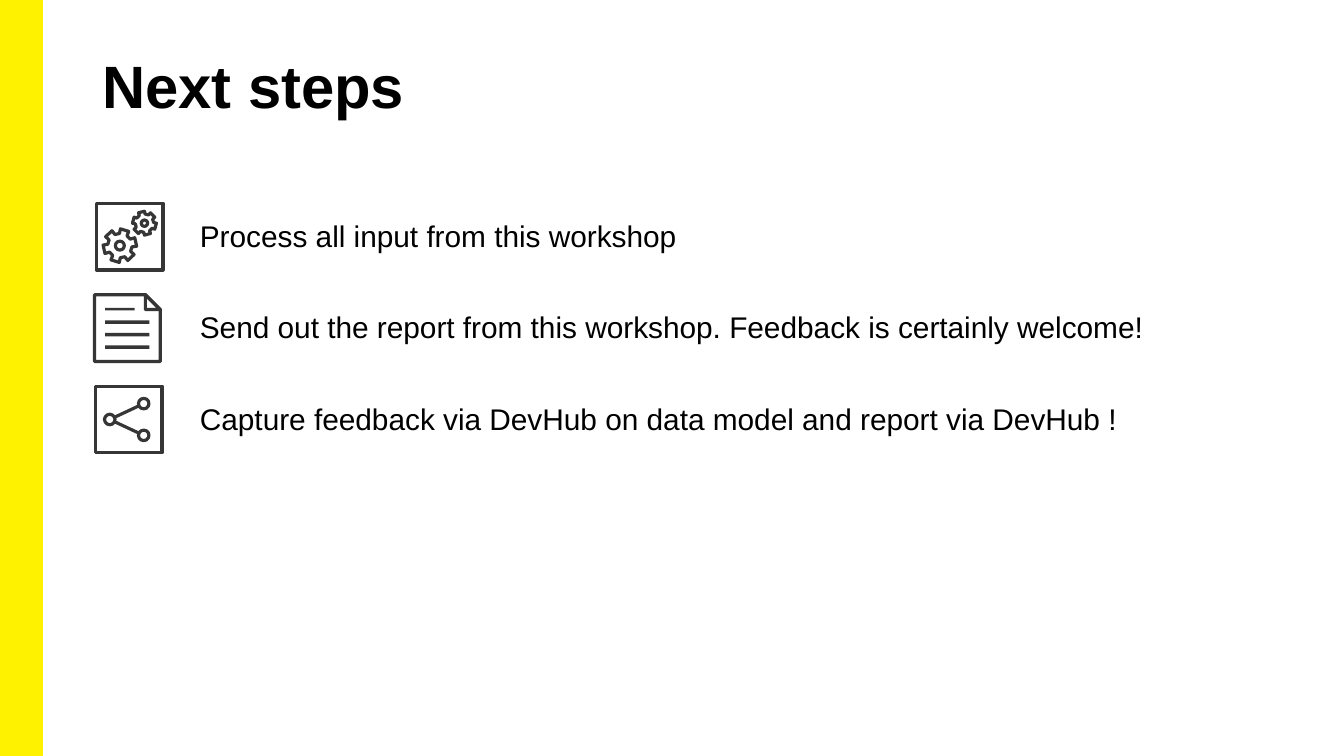
import math
import pptx
import pptx.util
import pptx.dml.color
import pptx.enum.shapes
import pptx.enum.text
import pptx.oxml.ns
import lxml.etree

Pt = pptx.util.Pt
RGBColor = pptx.dml.color.RGBColor
SHAPES = pptx.enum.shapes.MSO_SHAPE

YELLOW = RGBColor(0xFF, 0xF2, 0x00)
INK = RGBColor(0x37, 0x36, 0x36)
BLACK = RGBColor(0, 0, 0)
WHITE = RGBColor(0xFF, 0xFF, 0xFF)

TITLE = {"name": "Arial", "size": Pt(32), "bold": True}
BODY = {"name": "Arial", "size": Pt(16), "bold": False}
STROKE = 1.7


def style(shape, fill=None, line=None, weight=STROKE):
    shape.shadow.inherit = False
    if fill is None:
        shape.fill.background()
    else:
        shape.fill.solid()
        shape.fill.fore_color.rgb = fill
    if line is None:
        shape.line.fill.background()
    else:
        shape.line.color.rgb = line
        shape.line.width = Pt(weight)
    return shape


def add_block(page, kind, left, top, width, height, **look):
    shape = page.shapes.add_shape(kind, Pt(left), Pt(top), Pt(width), Pt(height))
    return style(shape, **look)


def add_outline(page, left, top, points):
    corners = [(Pt(left + x), Pt(top + y)) for x, y in points]
    builder = page.shapes.build_freeform(*corners[0], scale=1)
    builder.add_line_segments(corners[1:], close=True)
    return style(builder.convert_to_shape(), line=INK)


def add_ring(page, x, y, radius):
    add_block(page, SHAPES.OVAL, x - radius, y - radius, 2 * radius, 2 * radius,
              fill=WHITE, line=INK)


def add_line(page, x1, y1, x2, y2):
    line = page.shapes.add_connector(
        pptx.enum.shapes.MSO_CONNECTOR.STRAIGHT, Pt(x1), Pt(y1), Pt(x2), Pt(y2))
    line.line.color.rgb = INK
    line.line.width = Pt(STROKE)
    lxml.etree.SubElement(line._element.spPr, pptx.oxml.ns.qn("a:effectLst"))


def add_text(page, left, top, width, height, text, format_values, margins):
    box = page.shapes.add_textbox(Pt(left), Pt(top), Pt(width), Pt(height))
    frame = box.text_frame
    frame.word_wrap = True
    frame.vertical_anchor = pptx.enum.text.MSO_ANCHOR.TOP
    for side, margin in zip(("left", "top", "right", "bottom"), margins):
        setattr(frame, f"margin_{side}", Pt(margin))
    span = frame.paragraphs[0].add_run()
    span.text = text
    for name, value in format_values.items():
        setattr(span.font, name, value)
    span.font.color.rgb = BLACK


def add_frame(page, left, top, size):
    inset = STROKE / 2
    add_block(page, SHAPES.RECTANGLE, left + inset, top + inset,
              size - STROKE, size - STROKE, line=INK)


def add_gear(page, x, y, tip, root, hub, turn):
    points = []
    for tooth in range(6):
        for radius, offset in ((root, -19), (tip, -15), (tip, 15), (root, 19)):
            angle = math.radians(turn + 60 * tooth + offset)
            points.append((radius * math.cos(angle), radius * math.sin(angle)))
    add_outline(page, x, y, points)
    add_ring(page, x, y, hub)


def gears_icon(page, left, top, size):
    add_frame(page, left, top, size)
    add_gear(page, left + 13.5, top + 23.6, 9, 6.5, 2.4, -13)
    add_gear(page, left + 26.7, top + 11.6, 6.4, 4.9, 1.7, -45)


def report_icon(page, left, top, size):
    near, right, far, fold = STROKE / 2, size - 1.4, size - STROKE / 2, 8
    add_outline(page, left, top, [
        (near, near), (right - fold, near), (right, near + fold), (right, far), (near, far)])
    add_outline(page, left, top, [
        (right - fold, near), (right, near + fold), (right - fold, near + fold)])
    add_block(page, SHAPES.RECTANGLE, left + 6.5, top + 7.9, 15.8, 1.4, fill=INK)
    for step in range(3):
        add_block(page, SHAPES.RECTANGLE, left + 6.5, top + 14.7 + 6.7 * step,
                  23.8, 1.8, fill=INK)


def share_icon(page, left, top, size):
    add_frame(page, left, top, size)
    hub = (left + 8.6, top + size / 2)
    nodes = [(left + 26.8, hub[1] + rise) for rise in (-8.5, 8.5)]
    for node in nodes:
        add_line(page, *hub, *node)
    for center in (hub, *nodes):
        add_ring(page, *center, 2.8)


def add_step(page, left, top, width, icon, text):
    icon(page, left, top, 37.5)
    add_text(page, 100, top + 5, width, 26.6, text, BODY, (7.2, 3.6, 7.2, 3.6))


def add_steps(page, left, top, width, pitch):
    steps = [
        (gears_icon, 0.5, "Process all input from this workshop"),
        (report_icon, -0.4, "Send out the report from this workshop. Feedback is certainly welcome!"),
        (share_icon, 0, "Capture feedback via DevHub on data model and report via DevHub !"),
    ]
    for row, (icon, shift, text) in enumerate(steps):
        add_step(page, left + shift, top + pitch * row, width, icon, text)


def main():
    deck = pptx.Presentation()
    deck.slide_width, deck.slide_height = Pt(720), Pt(405)
    page = deck.slides.add_slide(deck.slide_layouts[6])
    add_block(page, SHAPES.RECTANGLE, 0, 0, 22.5, 405, fill=YELLOW, line=YELLOW, weight=1)
    add_text(page, 49.7, 21.6, 620.6, 58.3, "Next steps", TITLE, (5, 4.5, 5, 3))
    add_steps(page, 50.2, 108, 550, 49)
    deck.save("out.pptx")


if __name__ == "__main__":
    main()
